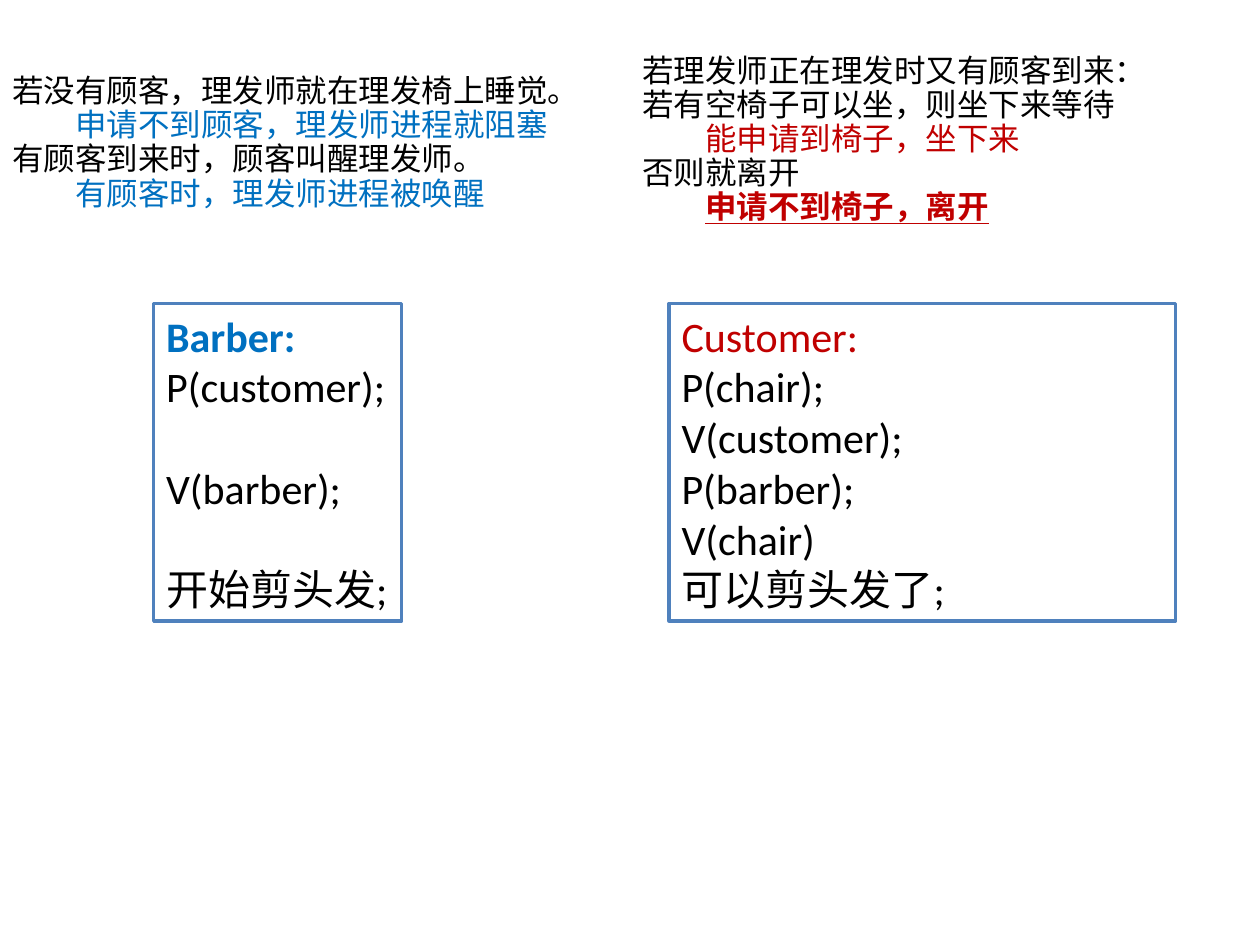
from lxml import etree
from pptx import Presentation
from pptx.dml.color import RGBColor
from pptx.enum.shapes import MSO_SHAPE
from pptx.enum.text import MSO_ANCHOR, PP_ALIGN
from pptx.oxml.ns import qn
from pptx.util import Cm, Pt

RECTANGLE = MSO_SHAPE.RECTANGLE
LEFT = PP_ALIGN.LEFT
TOP = MSO_ANCHOR.TOP
CHINESE_FONT = "Noto Sans CJK SC"
CODE_FONT = "Calibri"
COLORS = {
    "text": "000000",
    "barber": "0070C0",
    "customer": "C00000",
    "border": "4F81BD",
    "paper": "FFFFFF",
}


def color(name):
    """Return the named colour."""
    return RGBColor.from_string(COLORS[name])


def write_line(paragraph, text, font=CHINESE_FONT, size=18, ink="text", bold=False,
               underline=False, level=0, spacing=19.5, before=0):
    """Write one formatted line into a paragraph."""
    paragraph.alignment = LEFT
    paragraph.level = level
    paragraph.line_spacing = Pt(spacing)
    paragraph.space_before = Pt(before)
    if level:
        properties = paragraph._p.get_or_add_pPr()
        properties.set("marL", str(Cm(1.27)))
        properties.set("indent", "0")
    run = paragraph.add_run()
    run.text = text
    run.font.name = font
    run.font.size = Pt(size)
    run.font.bold = bold
    run.font.underline = underline
    run.font.color.rgb = color(ink)
    latin = run._r.get_or_add_rPr().find(qn("a:latin"))
    east_asian = etree.Element(qn("a:ea"), typeface=CHINESE_FONT)
    latin.addnext(east_asian)


def fill_frame(frame, lines, **shared):
    """Write lines of (text, format) into a text frame."""
    frame.word_wrap = True
    frame.vertical_anchor = TOP
    for index, (text, options) in enumerate(lines):
        paragraph = frame.add_paragraph() if index else frame.paragraphs[0]
        write_line(paragraph, text, **{**shared, **options})


def add_explanation(slide, left, top, height, lines):
    """Add a half-slide text box with the rules of the problem."""
    shape = slide.shapes.add_textbox(Cm(left), Cm(top), Cm(12.7), Cm(height))
    shape.text_frame.margin_top = Cm(0.19)
    fill_frame(shape.text_frame, lines)


def add_process(slide, left, width, lines):
    """Add a framed box with the pseudocode of one process."""
    shape = slide.shapes.add_shape(RECTANGLE, Cm(left), Cm(6.12), Cm(width), Cm(6.4))
    shape.shadow.inherit = False
    shape.fill.solid()
    shape.fill.fore_color.rgb = color("paper")
    shape.line.color.rgb = color("border")
    shape.line.width = Pt(2)
    shape.text_frame.margin_right = 0
    fill_frame(shape.text_frame, lines, font=CODE_FONT, size=24, spacing=29)


def main():
    """Build the sleeping barber slide."""
    presentation = Presentation()
    presentation.slide_width = Cm(25.4)
    presentation.slide_height = Cm(19.05)
    slide = presentation.slides.add_slide(presentation.slide_layouts[6])

    barber_note = {"level": 1, "ink": "barber"}
    customer_note = {"level": 1, "ink": "customer"}
    add_explanation(slide, 0, 1.32, 3.02, [
        ("若没有顾客，理发师就在理发椅上睡觉。", {}),
        ("申请不到顾客，理发师进程就阻塞", barber_note),
        ("有顾客到来时，顾客叫醒理发师。", {}),
        ("有顾客时，理发师进程被唤醒", barber_note),
    ])
    add_process(slide, 3.1, 5, [
        ("Barber:", {"ink": "barber", "bold": True}),
        ("P(customer);", {}),
        ("V(barber);", {"before": 29}),
        ("开始剪头发;", {"before": 29}),
    ])
    add_explanation(slide, 12.7, 0.91, 3.71, [
        ("若理发师正在理发时又有顾客到来：", {}),
        ("若有空椅子可以坐，则坐下来等待", {}),
        ("能申请到椅子，坐下来", customer_note),
        ("否则就离开", {}),
        ("申请不到椅子，离开", {**customer_note, "bold": True, "underline": True}),
    ])
    add_process(slide, 13.49, 10.21, [
        ("Customer:", {"ink": "customer"}),
        ("P(chair);", {}),
        ("V(customer);", {}),
        ("P(barber);", {}),
        ("V(chair)", {}),
        ("可以剪头发了;", {}),
    ])
    presentation.save("out.pptx")


if __name__ == "__main__":
    main()
